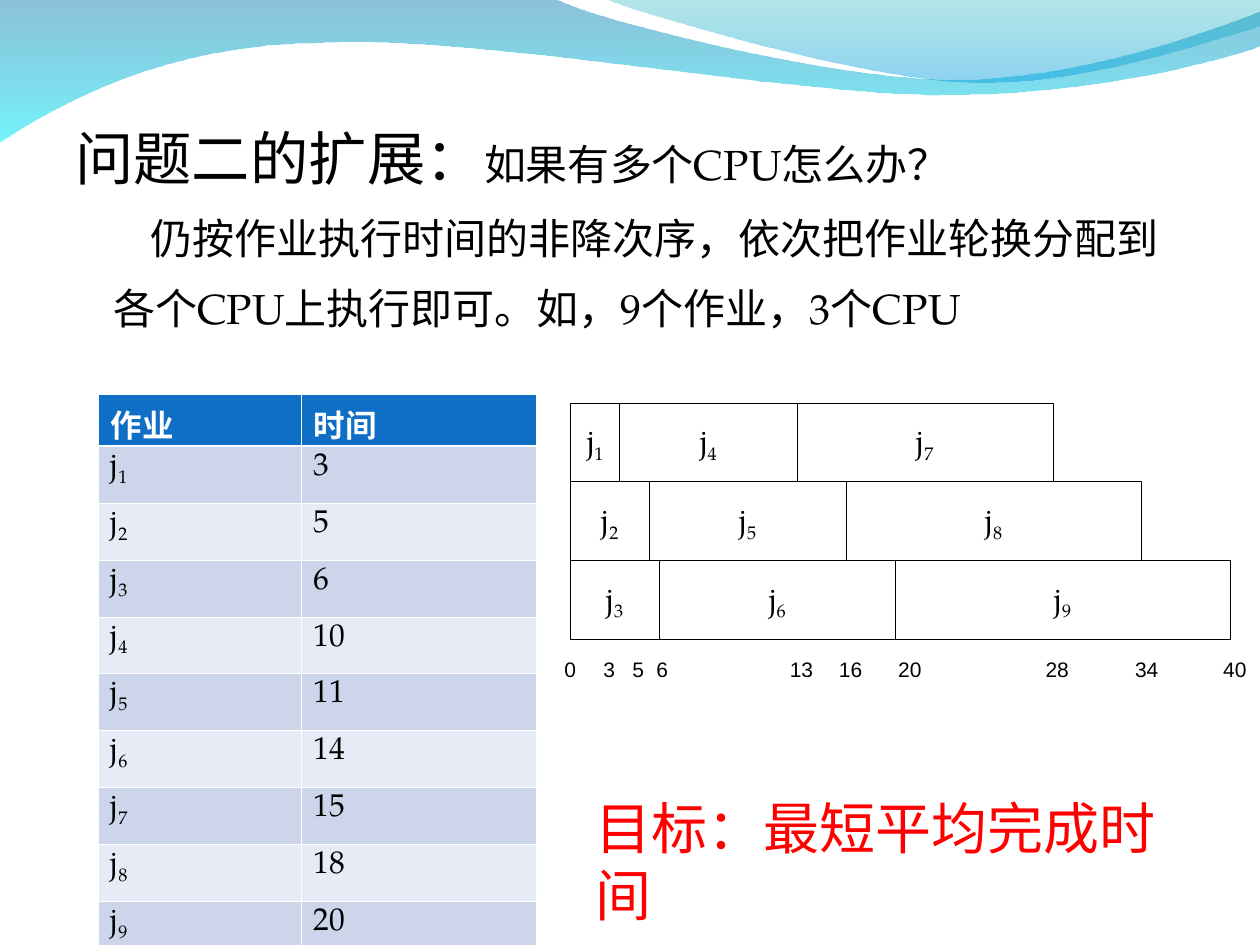
from lxml import etree
from pptx import Presentation
from pptx import util as u
from pptx.dml.color import RGBColor
from pptx.enum import shapes, text
from pptx.oxml.ns import qn

BLACK = RGBColor(0, 0, 0)
WHITE = RGBColor(255, 255, 255)
RED = RGBColor(255, 0, 0)
HEADER = RGBColor(0x0F, 0x6F, 0xC6)
BANDS = RGBColor(0xCC, 0xD5, 0xEA), RGBColor(0xE7, 0xEB, 0xF5)
SERIF, CJK, SANS = "TeX Gyre Pagella", "Noto Sans CJK SC", "Arial"


class Deck:
    def __init__(self, prs):
        self.s = prs.slides.add_slide(prs.slide_layouts[6])

    def run(self, p, content, size, font=SERIF, color=BLACK, bold=False, sub=False):
        r = p.add_run()
        r.text = content
        r.font.size, r.font.name, r.font.bold = u.Pt(size), font, bold
        r.font.color.rgb = color
        etree.SubElement(r.font._element, qn("a:ea")).set("typeface", CJK)
        if sub:
            r.font._element.set("baseline", "-25000")

    def job(self, p, n):
        self.run(p, "j", 18)
        self.run(p, str(n), 18, sub=True)

    def wave(self, start, segments, stops):
        points = [(round(x * 100), round(y * 100)) for seg in segments for x, y in seg]
        fb = self.s.shapes.build_freeform(*(round(v * 100) for v in start), scale=u.Inches(0.01))
        fb.add_line_segments(points, close=True)
        sp = fb.convert_to_shape()
        lines = iter(list(sp._element.iter(qn("a:lnTo"))))
        for seg in segments:
            parts = [next(lines) for _ in seg]
            if len(parts) == 3:
                curve = etree.Element(qn("a:cubicBezTo"))
                parts[0].addprevious(curve)
                for part in parts:
                    curve.append(part[0])
                    part.getparent().remove(part)
        sp.shadow.inherit = False
        sp.line.fill.background()
        sp.fill.gradient()
        sp.fill.gradient_angle = 270
        for stop, (color, alpha) in zip(sp.fill.gradient_stops, stops):
            stop.color.rgb = RGBColor.from_string(color)
            clr = stop._gs.find(qn("a:srgbClr"))
            etree.SubElement(clr, qn("a:alpha")).set("val", str(alpha * 1000))

    def box(self, x, y, w, h, wrap=True):
        sp = self.s.shapes.add_textbox(*map(u.Inches, (x, y, w, h)))
        sp.text_frame.word_wrap = wrap
        return sp.text_frame

    def label(self, content, x, y, w, h, size, font, color=BLACK, wrap=True, tab=None):
        tf = self.box(x, y, w, h, wrap)
        tf.auto_size = text.MSO_AUTO_SIZE.SHAPE_TO_FIT_TEXT
        p = tf.paragraphs[0]
        if tab:
            tabs = etree.SubElement(p._p.get_or_add_pPr(), qn("a:tabLst"))
            etree.SubElement(tabs, qn("a:tab"), pos=str(u.Inches(tab)), algn="l")
        self.run(p, content, size, font, color)

    def bar(self, n, x, y, w, h):
        sp = self.s.shapes.add_shape(shapes.MSO_SHAPE.RECTANGLE, *map(u.Inches, (x, y, w, h)))
        sp.shadow.inherit = False
        sp.fill.solid()
        sp.fill.fore_color.rgb = WHITE
        sp.line.color.rgb = BLACK
        sp.line.width = u.Pt(0.5)
        tf = sp.text_frame
        tf.vertical_anchor = text.MSO_ANCHOR.MIDDLE
        tf.paragraphs[0].alignment = text.PP_ALIGN.CENTER
        self.job(tf.paragraphs[0], n)

    def cell(self, cell, fill, bottom=0.45):
        cell.fill.solid()
        cell.fill.fore_color.rgb = fill
        pr = cell._tc.get_or_add_tcPr()
        for i, (side, width) in enumerate(zip("LRTB", (0.45, 0.45, 0.45, bottom))):
            ln = etree.Element(qn("a:ln" + side), w=str(u.Pt(width)))
            solid = etree.SubElement(ln, qn("a:solidFill"))
            etree.SubElement(solid, qn("a:srgbClr")).set("val", str(WHITE))
            pr.insert(i, ln)
        return cell.text_frame.paragraphs[0]

    def table(self, headers, times, x, y, widths, height, head_h):
        row_h = (height - head_h) / len(times)
        size = u.Inches(sum(widths)), u.Inches(height)
        tb = self.s.shapes.add_table(len(times) + 1, 2, u.Inches(x), u.Inches(y), *size).table
        for col, w in zip(tb.columns, widths):
            col.width = u.Inches(w)
        for i, row in enumerate(tb.rows):
            row.height = u.Inches(row_h if i else head_h)
        for c, head in enumerate(headers):
            self.run(self.cell(tb.cell(0, c), HEADER, 1.47), head, 18, color=WHITE, bold=True)
        for n, time in enumerate(times, 1):
            fill = BANDS[(n - 1) % 2]
            self.job(self.cell(tb.cell(n, 0), fill), n)
            self.run(self.cell(tb.cell(n, 1), fill), str(time), 18)


def main():
    prs = Presentation()
    prs.slide_width, prs.slide_height = u.Inches(10), u.Inches(7.5)
    d = Deck(prs)

    d.wave((0, -0.01),
           [[(4.4, -0.01)],
            [(4.76, 0.17), (6.64, 0.63), (7.58, 0.63)],
            [(8.53, 0.63), (9.58, 0.26), (10, 0.09)],
            [(10.01, 0.36)],
            [(9.83, 0.44), (8.7, 0.76), (7.46, 0.75)],
            [(6.22, 0.75), (3.82, 0.28), (2.57, 0.34)],
            [(1.29, 0.35), (0.46, 0.83), (-0.01, 1.13)]],
           (("0079AF", 45), ("00EBF8", 55)))
    d.wave((4.79, -0.01),
           [[(5.09, 0.11), (6.82, 0.62), (7.69, 0.65)],
            [(8.56, 0.69), (9.61, 0.32), (10, 0.21)],
            [(10, 0)]],
           (("00ADB6", 30), ("009BE5", 45)))

    tf = d.box(0.5, 0.7, 9, 2.27)
    title, body = tf.paragraphs[0], tf.add_paragraph()
    for p, indent in ((title, -0.3), (body, 0.3)):
        p.line_spacing = 1.4
        p._p.get_or_add_pPr().set("marL", str(u.Inches(0.3)))
        p._p.get_or_add_pPr().set("indent", str(u.Inches(indent)))
    d.run(title, "问题二的扩展：", 33.3, CJK)
    d.run(title, "如果有多个CPU怎么办？", 24)
    d.run(body, "仍按作业执行时间的非降次序，依次把作业轮换分配到各个CPU上执行即可。如，9个作业，3个CPU", 24)

    times = [3, 5, 6, 10, 11, 14, 15, 18, 20]
    d.table(("作业", "时间"), times, 0.78, 3.13, (1.61, 1.87), 4.48, 0.41)

    left, top, height, unit = 4.53, 3.2, 0.625, 5 / 64
    queues = (5, 18, 26), (8, 20, 30), (9, 24, 34)
    for cpu, queue in enumerate(queues):
        x = left
        for i, units in enumerate(queue):
            d.bar(cpu + 1 + i * len(queues), x, top + cpu * height, units * unit, height)
            x += units * unit

    for tick, x, w in (("0", 4.38, 0.31), ("3", 4.69, 0.31), ("5\t6", 4.92, 0.55),
                       ("13", 6.17, 0.39), ("16", 6.56, 0.39), ("20", 7.03, 0.39),
                       ("28", 8.2, 0.39), ("34", 8.91, 0.39), ("40", 9.61, 0.39)):
        d.label(tick, x, 5.16, w, 0.3, 12, SANS, tab=0.19 if "\t" in tick else None)
    d.label("目标：最短平均完成时间", 4.63, 6.25, 5.09, 0.64, 32, CJK, RED, wrap=False)

    prs.save("out.pptx")


if __name__ == "__main__":
    main()
